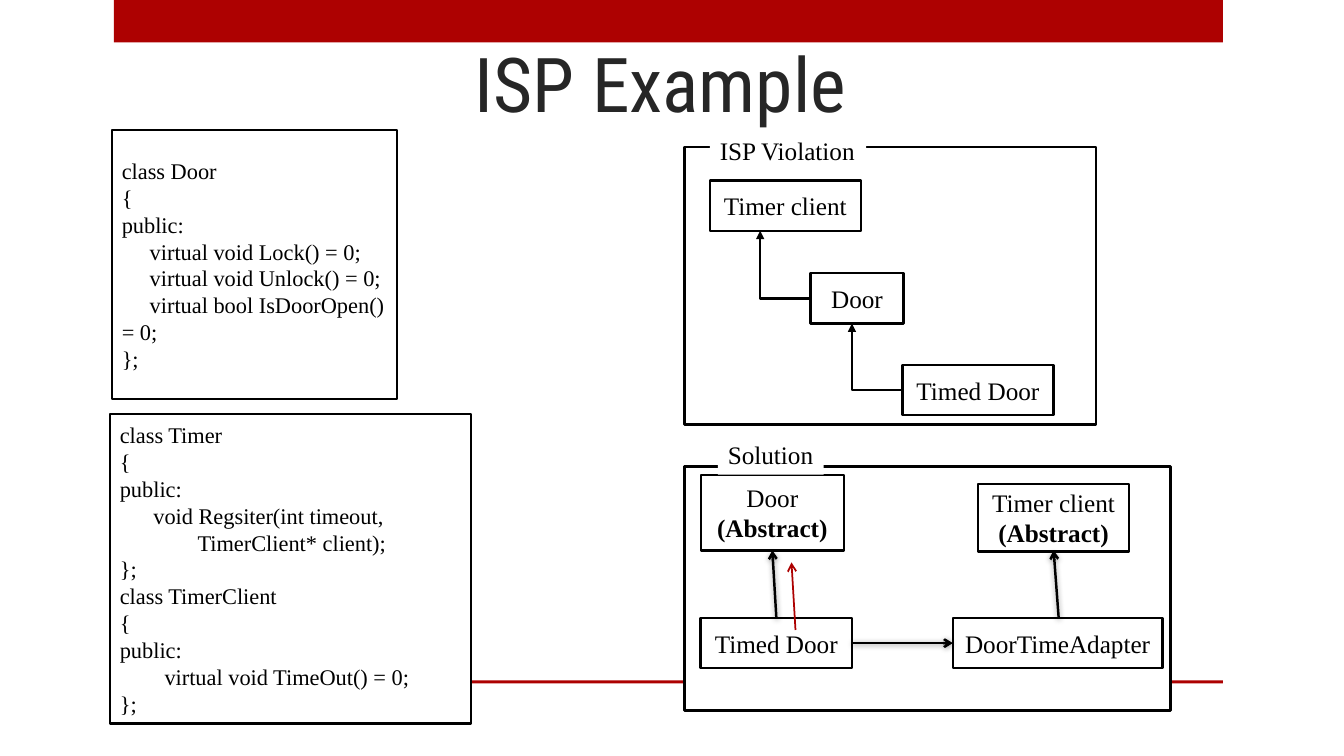
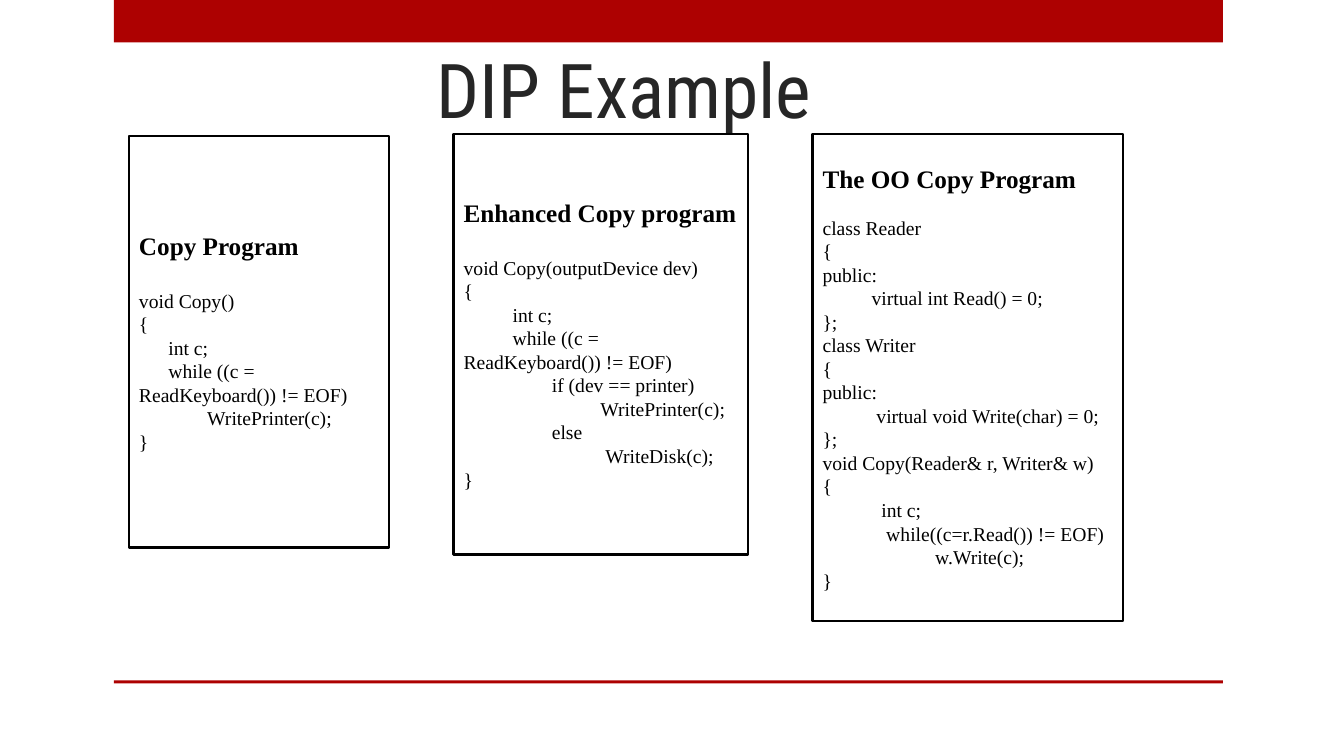
from dataclasses import dataclass
from itertools import pairwise

from lxml import etree
from pptx import Presentation
from pptx import util as u
from pptx.dml import color
from pptx.enum import shapes, text
from pptx.oxml import ns

COLORS = {"accent": "AD0101", "ink": "000000", "paper": "FFFFFF", "title": "262626"}
BODY_FONT = "Times New Roman"
TITLE_FONT = "Roboto Condensed"
LINE_WIDTH = 1.75

DOOR_CODE = """class Door
{
public:
     virtual void Lock() = 0;
     virtual void Unlock() = 0;
     virtual bool IsDoorOpen() = 0;
};"""

TIMER_CODE = """class Timer
{
public:
      void Regsiter(int timeout,
              TimerClient* client);
};
class TimerClient
{
public:
        virtual void TimeOut() = 0;
};"""

COPY_CODE = """void Copy()
{
      int c;
      while ((c = ReadKeyboard()) != EOF)
              WritePrinter(c);
}"""

ENHANCED_CODE = """void Copy(outputDevice dev)
{
          int c;
          while ((c = ReadKeyboard()) != EOF)
                  if (dev == printer)
                            WritePrinter(c);
                  else
                             WriteDisk(c);
}"""

OO_CODE = """class Reader
{
public:
          virtual int Read() = 0;
};
class Writer
{
public:
           virtual void Write(char) = 0;
};
void Copy(Reader& r, Writer& w)
{
            int c;
             while((c=r.Read()) != EOF)
                       w.Write(c);
}"""


@dataclass(frozen=True)
class Box:
    x: float
    y: float
    w: float
    h: float
    label: str = ""
    note: str = ""


@dataclass(frozen=True)
class Panel:
    x: float
    y: float
    w: float
    h: float
    code: str
    size: int
    heading: str = ""
    gap: int = 0


@dataclass(frozen=True)
class Arrow:
    x1: float
    y1: float
    x2: float
    y2: float
    color: str = "ink"
    width: float = LINE_WIDTH
    shadow: bool = True


PANELS_ISP = (
    Panel(1.11, 1.29, 2.83, 2.67, DOOR_CODE, 16),
    Panel(1.09, 4.11, 3.58, 3.07, TIMER_CODE, 16),
)
PANELS_DIP = (
    Panel(1.28, 1.35, 2.58, 4.08, COPY_CODE, 14, "Copy Program", 20),
    Panel(4.5, 1.33, 2.92, 4.17, ENHANCED_CODE, 14, "Enhanced Copy program", 20),
    Panel(8.06, 1.33, 3.08, 4.83, OO_CODE, 14, "The OO Copy Program", 16),
)
VIOLATION_FRAME = Box(6.79, 1.46, 4.08, 2.75)
VIOLATION_LABEL = Box(7.04, 1.29, 1.55, 0.4, "ISP Violation")
VIOLATION_CHAIN = (
    Box(7.04, 1.79, 1.5, 0.5, "Timer client"),
    Box(8.04, 2.71, 0.92, 0.5, "Door"),
    Box(8.95, 3.62, 1.5, 0.5, "Timed Door"),
)
ELBOW_RUN = 0.5
SOLUTION_FRAME = Box(6.79, 4.63, 4.82, 2.42)
SOLUTION_LABEL = Box(7.12, 4.31, 1.05, 0.4, "Solution")
SOLUTION_BOXES = (
    Box(6.95, 4.71, 1.42, 0.75, "Door", "(Abstract)"),
    Box(9.7, 4.8, 1.5, 0.67, "Timer client", "(Abstract)"),
    Box(6.95, 6.13, 1.5, 0.5, "Timed Door"),
    Box(9.45, 6.13, 2.08, 0.5, "DoorTimeAdapter"),
)
SOLUTION_ARROWS = (
    Arrow(7.7, 6.13, 7.66, 5.46),
    Arrow(10.5, 6.13, 10.45, 5.46),
    Arrow(8.45, 6.38, 9.45, 6.38),
    Arrow(7.89, 6.25, 7.85, 5.58, "accent", 1.25, False),
)


def rgb(name: str) -> color.RGBColor:
    return color.RGBColor.from_string(COLORS[name])


def add_rect(s, x: float, y: float, w: float, h: float,
             fill: str = "paper", line: str = "ink"):
    sp = s.shapes.add_shape(shapes.MSO_SHAPE.RECTANGLE, *map(u.Inches, (x, y, w, h)))
    sp.shadow.inherit = False
    sp.fill.solid()
    sp.fill.fore_color.rgb = rgb(fill)
    if line:
        sp.line.color.rgb = rgb(line)
        sp.line.width = u.Pt(LINE_WIDTH)
    else:
        sp.line.fill.background()
    return sp


def format_paragraph(p, size: int, bold: bool = False, align=text.PP_ALIGN.LEFT,
                     font: str = BODY_FONT, ink: str = "ink") -> None:
    p.alignment = align
    for r in p.runs:
        r.font.name = font
        r.font.size = u.Pt(size)
        r.font.bold = bold
        r.font.color.rgb = rgb(ink)


def add_panel(s, panel: Panel) -> None:
    tf = add_rect(s, panel.x, panel.y, panel.w, panel.h).text_frame
    tf.word_wrap = True
    tf.vertical_anchor = text.MSO_ANCHOR.MIDDLE
    tf.text = f"{panel.heading}\n{panel.code}" if panel.heading else panel.code
    for p in tf.paragraphs:
        format_paragraph(p, panel.size)
    if panel.heading:
        format_paragraph(tf.paragraphs[0], 18, True)
        tf.paragraphs[0].space_after = u.Pt(panel.gap)


def add_box(s, box: Box) -> None:
    tf = add_rect(s, box.x, box.y, box.w, box.h).text_frame
    tf.word_wrap = True
    tf.vertical_anchor = text.MSO_ANCHOR.MIDDLE
    tf.text = f"{box.label}\n{box.note}" if box.note else box.label
    for i, p in enumerate(tf.paragraphs):
        format_paragraph(p, 18, i > 0, text.PP_ALIGN.CENTER)


def add_frame(s, frame: Box) -> None:
    add_rect(s, frame.x, frame.y, frame.w, frame.h)


def add_frame_label(s, label: Box) -> None:
    tf = add_rect(s, label.x, label.y, label.w, label.h, line="").text_frame
    tf.word_wrap = False
    tf.vertical_anchor = text.MSO_ANCHOR.TOP
    tf.text = label.label
    format_paragraph(tf.paragraphs[0], 18)


def add_line(s, kind, arrow: Arrow, end: str, head: str):
    ends = map(u.Inches, (arrow.x1, arrow.y1, arrow.x2, arrow.y2))
    c = s.shapes.add_connector(kind, *ends)
    c.line.color.rgb = rgb(arrow.color)
    c.line.width = u.Pt(arrow.width)
    etree.SubElement(c.line._get_or_add_ln(), ns.qn(f"a:{end}"), type=head)
    effects = etree.SubElement(c._element.spPr, ns.qn("a:effectLst"))
    if arrow.shadow:
        shadow = etree.SubElement(effects, ns.qn("a:outerShdw"), blurRad="50800",
                                  dist="12700", dir="5280000", rotWithShape="0")
        tint = etree.SubElement(shadow, ns.qn("a:srgbClr"), val=COLORS["ink"])
        etree.SubElement(tint, ns.qn("a:alpha"), val="40000")
    return c


def add_elbow(s, upper: Box, lower: Box) -> None:
    top, bottom = upper.y + upper.h, lower.y + lower.h / 2
    cx, cy = lower.x - ELBOW_RUN / 2, (top + bottom) / 2
    half_w, half_h = (bottom - top) / 2, ELBOW_RUN / 2
    span = Arrow(cx + half_w, cy - half_h, cx - half_w, cy + half_h, shadow=False)
    c = add_line(s, shapes.MSO_CONNECTOR.ELBOW, span, "headEnd", "triangle")
    c._element.spPr.find(ns.qn("a:prstGeom")).set("prst", "bentConnector2")
    c._element.spPr.find(ns.qn("a:xfrm")).set("rot", "16200000")


def add_slide(prs, title: str, x: float, y: float, w: float, h: float):
    s = prs.slides.add_slide(prs.slide_layouts[6])
    for top, height in ((0, 0.42), (6.75, 0.03)):
        add_rect(s, 1.13, top, 11, height, "accent", "")
    tf = s.shapes.add_textbox(*map(u.Inches, (x, y, w, h))).text_frame
    tf.word_wrap = True
    tf.margin_top = tf.margin_bottom = 0
    tf.vertical_anchor = text.MSO_ANCHOR.BOTTOM
    tf.text = title
    p = tf.paragraphs[0]
    p.line_spacing = 0.9
    format_paragraph(p, 54, font=TITLE_FONT, ink="title")
    return s


def build_isp(prs) -> None:
    s = add_slide(prs, "ISP Example", 4.61, 0.45, 3.95, 0.83)
    for panel in PANELS_ISP:
        add_panel(s, panel)
    add_frame(s, VIOLATION_FRAME)
    add_frame_label(s, VIOLATION_LABEL)
    for box in VIOLATION_CHAIN:
        add_box(s, box)
    for upper, lower in pairwise(VIOLATION_CHAIN):
        add_elbow(s, upper, lower)
    add_frame(s, SOLUTION_FRAME)
    for box in SOLUTION_BOXES:
        add_box(s, box)
    for arrow in SOLUTION_ARROWS:
        add_line(s, shapes.MSO_CONNECTOR.STRAIGHT, arrow, "tailEnd", "arrow")
    add_frame_label(s, SOLUTION_LABEL)


def build_dip(prs) -> None:
    s = add_slide(prs, "DIP Example", 4.23, 0.43, 3.96, 0.91)
    for panel in PANELS_DIP:
        add_panel(s, panel)


def main() -> None:
    prs = Presentation()
    prs.slide_width, prs.slide_height = u.Inches(13.33), u.Inches(7.5)
    build_isp(prs)
    build_dip(prs)
    prs.save("out.pptx")


if __name__ == "__main__":
    main()
